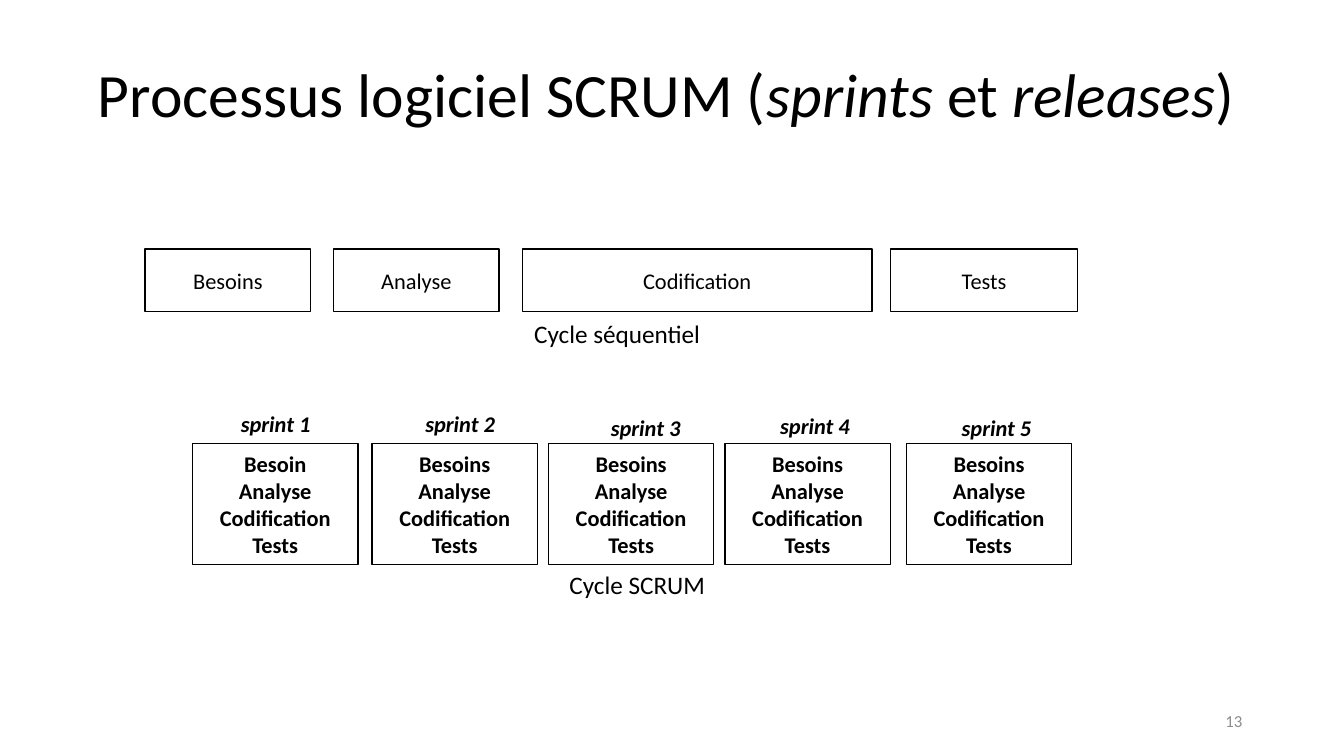
from dataclasses import dataclass

from pptx import Presentation
from pptx.dml.color import RGBColor
from pptx.enum import shapes, text
from pptx.util import Inches, Pt


@dataclass(frozen=True)
class Theme:
    font: str = "Calibri"
    ink: RGBColor = RGBColor(0, 0, 0)
    muted: RGBColor = RGBColor(0x8C, 0x8C, 0x8C)
    heading: int = 44
    caption: int = 18
    body: int = 16
    footer: int = 12
    outline: int = 1


THEME = Theme()

HEADING = [
    ("Processus logiciel SCRUM (", False),
    ("sprints", True),
    (" et ", False),
    ("releases", True),
    (")", False),
]
PHASES = [
    ("Besoins", 1.44, 1.64),
    ("Analyse", 3.31, 1.64),
    ("Codification", 5.18, 3.47),
    ("Tests", 8.83, 1.86),
]
SPRINTS = [
    ("sprint 1", "Besoin", 1.91, 2.29, 4.02),
    ("sprint 2", "Besoins", 3.69, 4.12, 4.02),
    ("sprint 3", "Besoins", 5.44, 5.96, 4.06),
    ("sprint 4", "Besoins", 7.19, 7.64, 4.04),
    ("sprint 5", "Besoins", 8.99, 9.44, 4.06),
]
SPRINT_STEPS = ["Analyse", "Codification", "Tests"]
CAPTIONS = [
    ("Cycle séquentiel", 5.2, 3.11, 1.87),
    ("Cycle SCRUM", 5.55, 5.6, 1.56),
]
PAGE = "13"

PHASE_TOP, PHASE_HEIGHT = 2.47, 0.62
SPRINT_TOP, SPRINT_WIDTH, SPRINT_HEIGHT = 4.4, 1.64, 1.2


def add_run(paragraph, words, size, color=THEME.ink, bold=False, italic=False):
    run = paragraph.add_run()
    run.text = words
    run.font.name = THEME.font
    run.font.size = Pt(size)
    run.font.color.rgb = color
    run.font.bold = bold
    run.font.italic = italic


def add_box(slide, lines, left, top, width, height, bold=False):
    box = slide.shapes.add_shape(
        shapes.MSO_SHAPE.RECTANGLE, *map(Inches, (left, top, width, height))
    )
    box.shadow.inherit = False
    box.fill.background()
    box.line.color.rgb = THEME.ink
    box.line.width = Pt(THEME.outline)
    frame = box.text_frame
    frame.vertical_anchor = text.MSO_ANCHOR.MIDDLE
    for index, line in enumerate(lines):
        paragraph = frame.add_paragraph() if index else frame.paragraphs[0]
        paragraph.alignment = text.PP_ALIGN.CENTER
        add_run(paragraph, line, THEME.body, bold=bold)


def add_label(slide, words, left, top, width, height, size, **style):
    label = slide.shapes.add_textbox(*map(Inches, (left, top, width, height)))
    frame = label.text_frame
    frame.word_wrap = False
    frame.auto_size = text.MSO_AUTO_SIZE.SHAPE_TO_FIT_TEXT
    add_run(frame.paragraphs[0], words, size, **style)


def add_heading(slide):
    heading = slide.shapes.title
    heading.left, heading.top = Inches(0.87), Inches(0.24)
    heading.width, heading.height = Inches(11.5), Inches(1.45)
    frame = heading.text_frame
    frame.auto_size = text.MSO_AUTO_SIZE.NONE
    frame.vertical_anchor = text.MSO_ANCHOR.MIDDLE
    paragraph = frame.paragraphs[0]
    paragraph.alignment = text.PP_ALIGN.LEFT
    paragraph.line_spacing = 0.9
    for words, italic in HEADING:
        add_run(paragraph, words, THEME.heading, italic=italic)


def add_page_number(slide):
    page = slide.shapes.add_textbox(*map(Inches, (9.42, 6.95, 3, 0.4)))
    frame = page.text_frame
    frame.word_wrap = True
    frame.vertical_anchor = text.MSO_ANCHOR.MIDDLE
    frame.paragraphs[0].alignment = text.PP_ALIGN.RIGHT
    add_run(frame.paragraphs[0], PAGE, THEME.footer, THEME.muted)


def main():
    deck = Presentation()
    deck.slide_width, deck.slide_height = Inches(13.33), Inches(7.5)
    slide = deck.slides.add_slide(deck.slide_layouts[5])
    add_heading(slide)
    for phase, left, width in PHASES:
        add_box(slide, [phase], left, PHASE_TOP, width, PHASE_HEIGHT)
    for sprint, need, left, label_left, label_top in SPRINTS:
        add_box(slide, [need, *SPRINT_STEPS], left, SPRINT_TOP,
                SPRINT_WIDTH, SPRINT_HEIGHT, bold=True)
        add_label(slide, sprint, label_left, label_top, 0.9, 0.37,
                  THEME.body, bold=True, italic=True)
    for caption, left, top, width in CAPTIONS:
        add_label(slide, caption, left, top, width, 0.4, THEME.caption)
    add_page_number(slide)
    deck.save("out.pptx")


if __name__ == "__main__":
    main()
